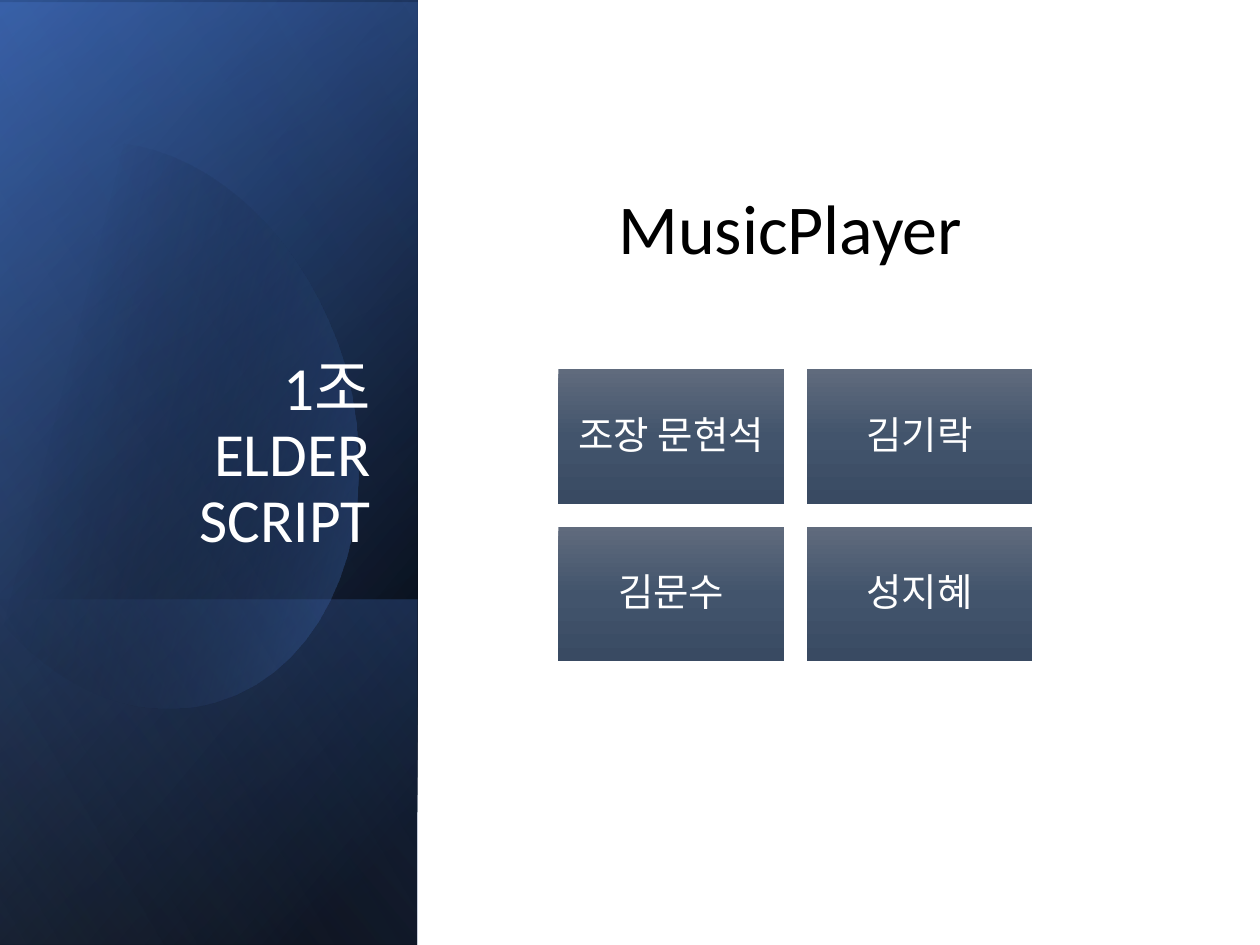
from dataclasses import dataclass

from lxml.etree import SubElement
from pptx import Presentation
from pptx.dml.color import RGBColor
from pptx.enum.shapes import MSO_SHAPE as Preset
from pptx.enum.text import MSO_ANCHOR as Anchor, PP_ALIGN as Align
from pptx.oxml.ns import qn
from pptx.util import Pt


@dataclass(frozen=True)
class Theme:
    font: str = "Calibri"
    black: str = "000000"
    white: str = "FFFFFF"
    navy: str = "2F5597"
    blue: str = "4472C4"
    pale_blue: str = "8FAADC"
    card_stops: tuple = ((0, "606B7D"), (50, "42546C"), (100, "394A62"))
    heading_size: int = 40
    title_size: int = 35
    name_size: int = 22


THEME = Theme()
MEMBERS = (("조장 문현석", "김기락"), ("김문수", "성지혜"))


def set_gradient(shape, stops, angle):
    """Stops are (position, colour) or (position, colour, opacity), in percent; angle is clockwise."""
    shape.shadow.inherit = False
    shape.line.fill.background()
    shape.fill.gradient()
    shape.fill.gradient_angle = 360 - angle
    stop_list = shape._element.spPr.find(qn("a:gradFill")).find(qn("a:gsLst"))
    stop_list.clear()
    for position, color, *opacity in stops:
        stop = SubElement(stop_list, qn("a:gs"), pos=str(position * 1000))
        tint = SubElement(stop, qn("a:srgbClr"), val=color)
        if opacity:
            SubElement(tint, qn("a:alpha"), val=str(opacity[0] * 1000))


def write_text(shape, text, *, size, color, align=Align.LEFT, anchor=Anchor.TOP,
               spacing=1.0, inset=None):
    frame = shape.text_frame
    frame.word_wrap = True
    frame.vertical_anchor = anchor
    if inset is not None:
        frame.margin_left = frame.margin_right = Pt(inset)
        frame.margin_top = frame.margin_bottom = Pt(inset)
    para = frame.paragraphs[0]
    para.alignment = align
    para.line_spacing = spacing
    for index, line in enumerate(text.split("\n")):
        if index:
            para.add_line_break()
        span = para.add_run()
        span.text = line
        span.font.name = THEME.font
        span.font.size = Pt(size)
        span.font.color.rgb = RGBColor.from_string(color)


def add_text(page, box, text, **style):
    write_text(page.shapes.add_textbox(*map(Pt, box)), text, **style)


def add_turned_layer(page, box, stops, angle):
    """Cover the box with a mirrored rectangle turned a quarter, so its gradient turns too."""
    left, top, width, height = box
    shift = (height - width) / 2
    frame = (left - shift, top + shift, height, width)
    layer = page.shapes.add_shape(Preset.RECTANGLE, *map(Pt, frame))
    layer.rotation = 90
    layer._element.spPr.find(qn("a:xfrm")).set("flipH", "1")
    set_gradient(layer, stops, angle)


def curve_points(start, bend_out, bend_in, end, steps=16):
    """Points along a cubic Bézier curve, without its start."""
    for step in range(1, steps + 1):
        t = step / steps
        weights = ((1 - t) ** 3, 3 * t * (1 - t) ** 2, 3 * t ** 2 * (1 - t), t ** 3)
        yield tuple(sum(weight * point[axis] for weight, point
                        in zip(weights, (start, bend_out, bend_in, end)))
                    for axis in (0, 1))


def add_arc_shape(page, box):
    """The rounded glow; its outline is measured from the corner of the box."""
    start = (69, 82)
    curves = (
        ((123, 88), (176, 138), (197, 209)),
        ((221, 297), (189, 382), (123, 401)),
        ((82, 413), (38, 396), (5, 360)),
        ((-2, 351), (-2, 351), (-2, 351)),
        ((-18, 120), (-18, 120), (-18, 120)),
        ((-11, 111), (-11, 111), (-11, 111)),
        ((1, 99), (16, 90), (32, 85)),
        ((45, 81), (57, 81), start),
    )
    points, here = [], start
    for bend_out, bend_in, end in curves:
        points += curve_points(here, bend_out, bend_in, end)
        here = end
    left, top = box[:2]
    outline = [(Pt(left + x), Pt(top + y)) for x, y in points]
    builder = page.shapes.build_freeform(Pt(left + start[0]), Pt(top + start[1]))
    builder.add_line_segments(outline, close=True)
    set_gradient(builder.convert_to_shape(),
                 ((29, THEME.black, 0), (100, THEME.blue, 43)), 14)


def add_side_panel(page, box):
    left, top, width, height = box
    foot = 197.3
    foot_box = (left, top + height - foot, width, foot)
    add_turned_layer(page, box, ((8, THEME.black), (100, THEME.navy)), 50)
    add_turned_layer(page, (left, top + 1.4, width, height),
                     ((0, THEME.black, 0), (99, THEME.blue, 46)), 30)
    add_turned_layer(page, foot_box,
                     ((2, THEME.blue, 29), (100, THEME.black, 30)), 130)
    add_arc_shape(page, box)
    add_turned_layer(page, box, ((0, THEME.black, 0), (99, THEME.pale_blue, 11)), 120)
    add_text(page, (left + 34.6, top + 132.5, 184.3, 188.6), "1조\nELDER SCRIPT",
             size=THEME.title_size, color=THEME.white, align=Align.RIGHT,
             anchor=Anchor.BOTTOM, spacing=0.9)


def add_member_grid(page, box, gap=13):
    left, top, width, height = box
    card_width = (width - gap) / 2
    card_height = (height - gap) / 2
    for row, names in enumerate(MEMBERS):
        for column, name in enumerate(names):
            place = (left + column * (card_width + gap), top + row * (card_height + gap),
                     card_width, card_height)
            card = page.shapes.add_shape(Preset.RECTANGLE, *map(Pt, place))
            set_gradient(card, THEME.card_stops, 90)
            write_text(card, name, size=THEME.name_size, color=THEME.white,
                       align=Align.CENTER, anchor=Anchor.MIDDLE, spacing=0.9, inset=6.5)


def main():
    deck = Presentation()
    deck.slide_width, deck.slide_height = Pt(720), Pt(540)
    page = deck.slides.add_slide(deck.slide_layouts[6])
    add_side_panel(page, (0, 0, 238.5, 540))
    add_member_grid(page, (319, 211, 271, 167))
    add_text(page, (346.3, 102.2, 282.2, 55.4), "MusicPlayer",
             size=THEME.heading_size, color=THEME.black)
    deck.save("out.pptx")


if __name__ == "__main__":
    main()
